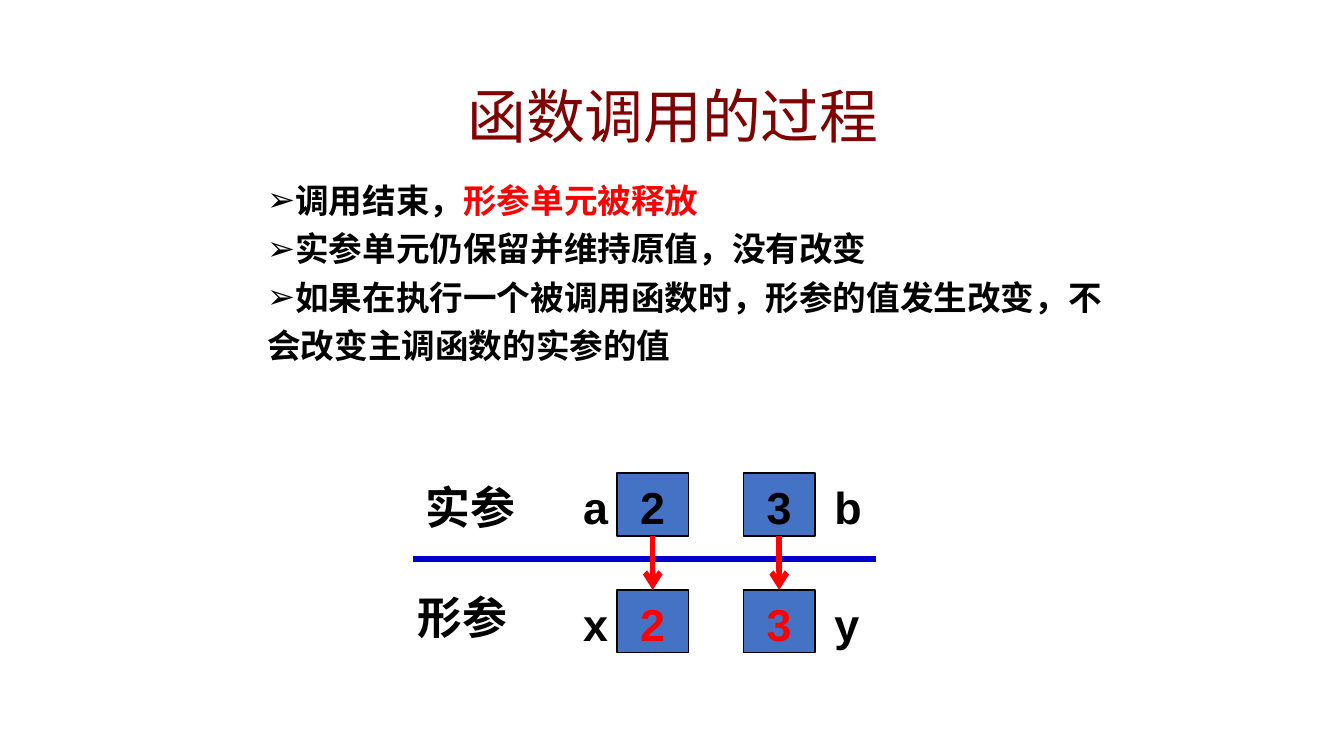
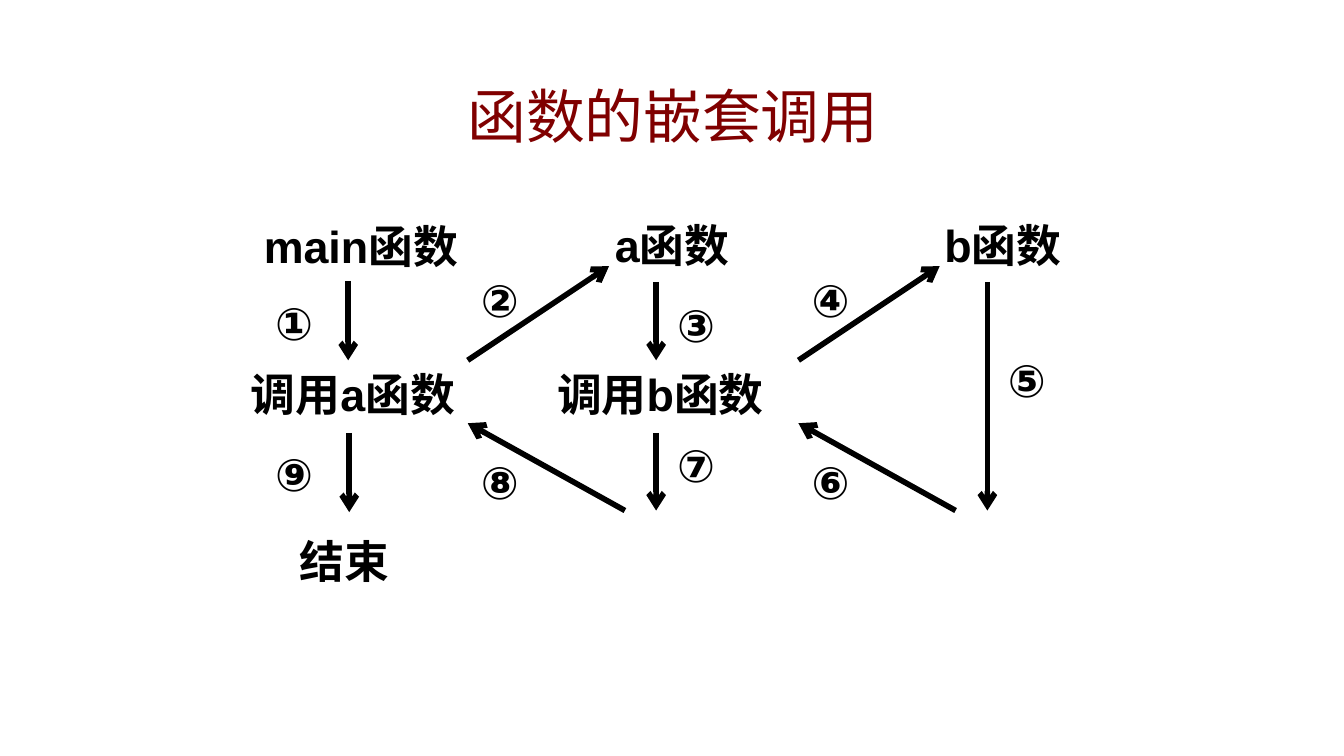
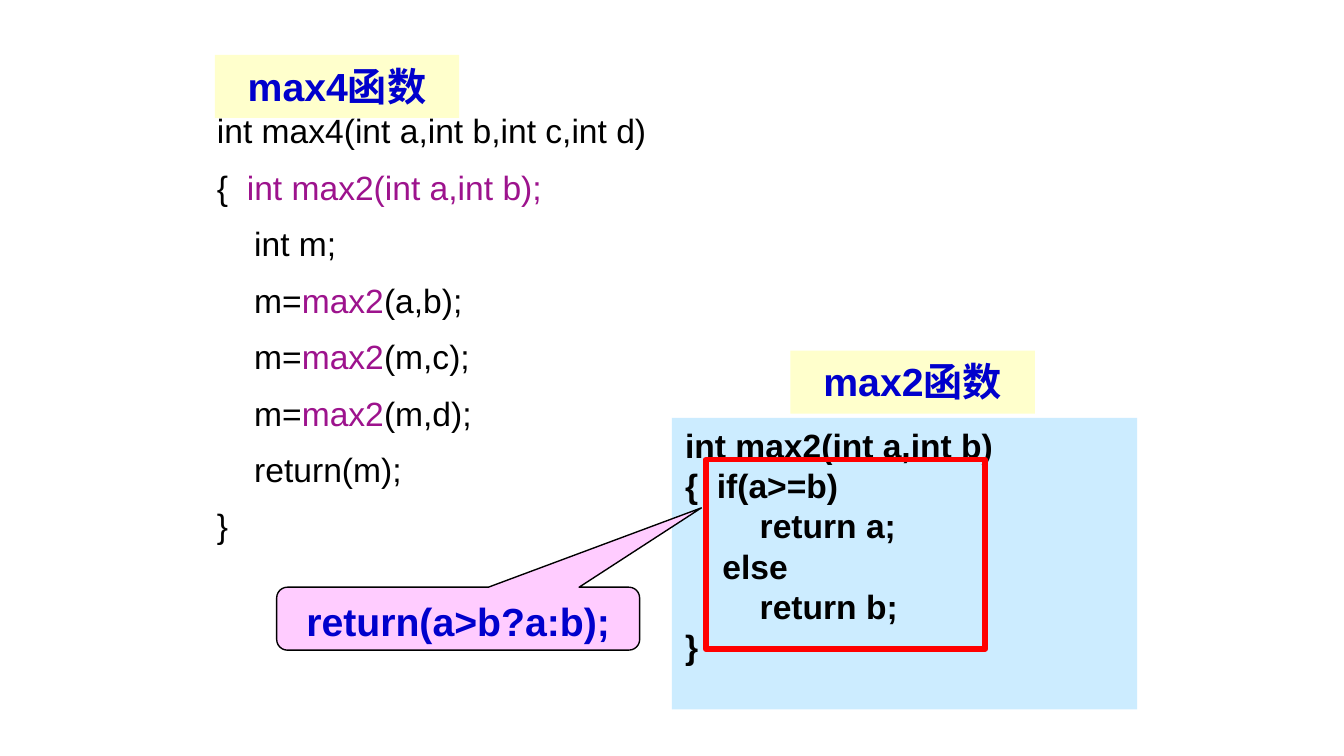
"""Build three slides on how C functions are called and nested."""
from dataclasses import dataclass

from lxml.etree import SubElement
from pptx import Presentation
from pptx.dml.color import RGBColor
from pptx.enum.shapes import MSO_CONNECTOR, MSO_SHAPE
from pptx.enum.text import MSO_ANCHOR, MSO_AUTO_SIZE, PP_ALIGN
from pptx.oxml.ns import qn
from pptx.util import Cm, Pt


@dataclass(frozen=True)
class Theme:
    font: str = "Arial"
    black: RGBColor = RGBColor.from_string("000000")
    red: RGBColor = RGBColor.from_string("FF0000")
    maroon: RGBColor = RGBColor.from_string("800000")
    blue: RGBColor = RGBColor.from_string("0000CC")
    steel: RGBColor = RGBColor.from_string("4472C4")
    purple: RGBColor = RGBColor.from_string("9D138D")
    cream: RGBColor = RGBColor.from_string("FFFFCC")
    sky: RGBColor = RGBColor.from_string("CCECFF")
    pink: RGBColor = RGBColor.from_string("FFCCFF")
    head: float = 31.5
    label: float = 24
    tag: float = 21
    text: float = 18
    thin: float = 0.75
    thick: float = 3


theme = Theme()


def write(shape, text, size=theme.label, color=theme.black, accent=theme.red,
          bold=True, align=PP_ALIGN.LEFT, anchor=MSO_ANCHOR.TOP, wrap=True,
          inset=(0.25, 0.13), bullet=None, hang=0, lead=None, gap=0):
    """Fill a shape with lines of text; parts between bars take the accent."""
    frame = shape.text_frame
    frame.auto_size = MSO_AUTO_SIZE.NONE
    frame.word_wrap = wrap
    frame.vertical_anchor = anchor
    frame.margin_left = frame.margin_right = Cm(inset[0])
    frame.margin_top = frame.margin_bottom = Cm(inset[1])
    for row, line in enumerate(text.split("\n")):
        para = frame.add_paragraph() if row else frame.paragraphs[0]
        if bullet is not None:
            props = para._p.get_or_add_pPr()
            props.set("marL", str(Cm(hang)))
            props.set("indent", str(-Cm(hang)))
            if bullet:
                SubElement(props, qn("a:buChar")).set("char", bullet)
            else:
                SubElement(props, qn("a:buNone"))
        para.alignment = align
        para.space_before = Pt(gap if row else 0)
        if lead:
            para.line_spacing = lead
        for turn, piece in enumerate(line.split("|")):
            if piece:
                run = para.add_run()
                run.text = piece
                run.font.name = theme.font
                run.font.size = Pt(size)
                run.font.bold = bold
                run.font.color.rgb = accent if turn % 2 else color


def draw(slide, ends, color, arrow=True):
    """Draw a thick line between two points, with an arrowhead if asked."""
    line = slide.shapes.add_connector(MSO_CONNECTOR.STRAIGHT, *map(Cm, ends))
    line.line.color.rgb = color
    line.line.width = Pt(theme.thick)
    if arrow:
        SubElement(line.line._get_or_add_ln(), qn("a:tailEnd")).set("type", "arrow")
    SubElement(line._element.spPr, qn("a:effectLst"))
    return line


deck = Presentation()
deck.slide_width, deck.slide_height = Cm(25.4), Cm(14.29)
pages = []
for plan, title in ((1, "函数调用的过程"), (5, "函数的嵌套调用"), (1, None)):
    slide = deck.slides.add_slide(deck.slide_layouts[plan])
    head = slide.shapes.title
    if title:
        head.left, head.top, head.width, head.height = map(Cm, (3.48, 1.37, 18.47, 1.6))
        write(head, title, size=theme.head, color=theme.maroon, bold=False,
              align=PP_ALIGN.CENTER, anchor=MSO_ANCHOR.MIDDLE, inset=(0.19, 0.09))
    else:
        head.element.getparent().remove(head.element)
    pages.append(slide)
call, nest, code = pages

notes = call.placeholders[1]
notes.left, notes.top, notes.width, notes.height = map(Cm, (4.8, 3.12, 16.38, 5.21))
write(notes, "调用结束，|形参单元被释放|\n实参单元仍保留并维持原值，没有改变\n"
      "如果在执行一个被调用函数时，形参的值发生改变，不会改变主调函数的实参的值",
      size=theme.text, bullet="➢", lead=1.2)

cells = {}
for top, names, ink in ((8.94, "ab", theme.black), (11.15, "xy", theme.red)):
    for left, side, name, value in zip((11.66, 14.05), (10.77, 15.52), names, "23"):
        cell = call.shapes.add_shape(MSO_SHAPE.FLOWCHART_PROCESS,
                                     *map(Cm, (left, top, 1.35, 1.19)))
        cell.shadow.inherit = False
        cell.fill.solid()
        cell.fill.fore_color.rgb = theme.steel
        cell.line.color.rgb = theme.black
        cell.line.width = Pt(theme.thin)
        write(cell, value, color=ink, align=PP_ALIGN.CENTER, wrap=False)
        cells[name] = cell
        label = call.shapes.add_textbox(*map(Cm, (side, top, 1.04, 1.27)))
        write(label, name)

draw(call, (7.8, 10.57, 16.56, 10.57), theme.blue, arrow=False)
for left, top, name in ((7.8, 8.94, "实参"), (7.65, 11.02, "形参")):
    label = call.shapes.add_textbox(*map(Cm, (left, top, 2.39, 1.27)))
    write(label, name)
for start, end in ("ax", "by"):
    link = draw(call, (0, 0, 0, 0), theme.red)
    link.begin_connect(cells[start], 2)
    link.end_connect(cells[end], 0)

for text, left, top, width in (
    ("main函数", 4.52, 4.01, 4.6),
    ("调用a函数", 4.22, 6.81, 4.9),
    ("结束", 4.06, 9.96, 4.9),
    ("a函数", 10.62, 3.99, 4.17),
    ("调用b函数", 10.03, 6.81, 4.9),
    ("b函数", 16.87, 3.99, 4.17),
):
    label = nest.shapes.add_textbox(*map(Cm, (left, top, width, 1.27)))
    write(label, text, align=PP_ALIGN.CENTER)

steps = [
    ("①", 4.95, 5.46, (6.58, 5.31, 6.58, 6.81)),
    ("⑨", 4.95, 8.31, (6.6, 8.18, 6.6, 9.68)),
    ("③", 12.55, 5.49, (12.4, 5.33, 12.4, 6.81)),
    ("⑦", 12.55, 8.15, (12.4, 8.18, 12.4, 9.65)),
    ("⑤", 18.8, 6.53, (18.66, 5.33, 18.66, 9.65)),
]
for left, go, back in ((8.84, "②", "⑧"), (15.09, "④", "⑥")):
    steps.append((go, left, 5.03, (left, 6.81, left + 2.67, 5.03)))
    steps.append((back, left, 8.46, (left + 2.97, 9.65, left, 8)))
for mark, left, top, ends in steps:
    draw(nest, ends, theme.black)
    label = nest.shapes.add_textbox(*map(Cm, (left, top, 1.5, 1.27)))
    write(label, mark)

body = code.placeholders[1]
body.left, body.top, body.width, body.height = map(Cm, (3.91, 2.08, 13.54, 8.79))
write(body, """int max4(int a,int b,int c,int d)
{  |int max2(int a,int b);|
    int m;
    m=|max2|(a,b);
    m=|max2|(m,c);
    m=|max2|(m,d);
    return(m);
}""", size=theme.text, accent=theme.purple, bold=False, inset=(0.19, 0.09),
      bullet="", hang=0.64, lead=0.9, gap=10.8)

inner = """int max2(int a,int b)
{  if(a>=b)
        return a;
    else
        return b;
}"""
tag = dict(size=theme.tag, color=theme.blue, align=PP_ALIGN.CENTER)
rect, bubble = MSO_SHAPE.RECTANGLE, MSO_SHAPE.ROUNDED_RECTANGULAR_CALLOUT
for kind, place, fill, edge, width, text, look in (
    (rect, (4.06, 1.04, 4.62, 1.19), theme.cream, None, 0, "max4函数", tag),
    (rect, (12.7, 7.9, 8.79, 5.51), theme.sky, None, 0, inner, dict(size=theme.text)),
    (rect, (14.94, 6.63, 4.62, 1.19), theme.cream, None, 0, "max2函数", tag),
    (bubble, (5.23, 11.1, 6.86, 1.19), theme.pink, theme.black, theme.thin,
     "return(a>b?a:b);", tag),
    (rect, (13.34, 8.69, 5.28, 3.58), None, theme.red, theme.thick, "", {}),
):
    panel = code.shapes.add_shape(kind, *map(Cm, place))
    panel.shadow.inherit = False
    if fill:
        panel.fill.solid()
        panel.fill.fore_color.rgb = fill
    else:
        panel.fill.background()
    if edge:
        panel.line.color.rgb = edge
        panel.line.width = Pt(width)
    else:
        panel.line.fill.background()
    if kind == bubble:
        for spot, ratio in enumerate((0.67, -1.76, 0.17)):
            panel.adjustments[spot] = ratio
    write(panel, text, **look)

deck.save("out.pptx")
